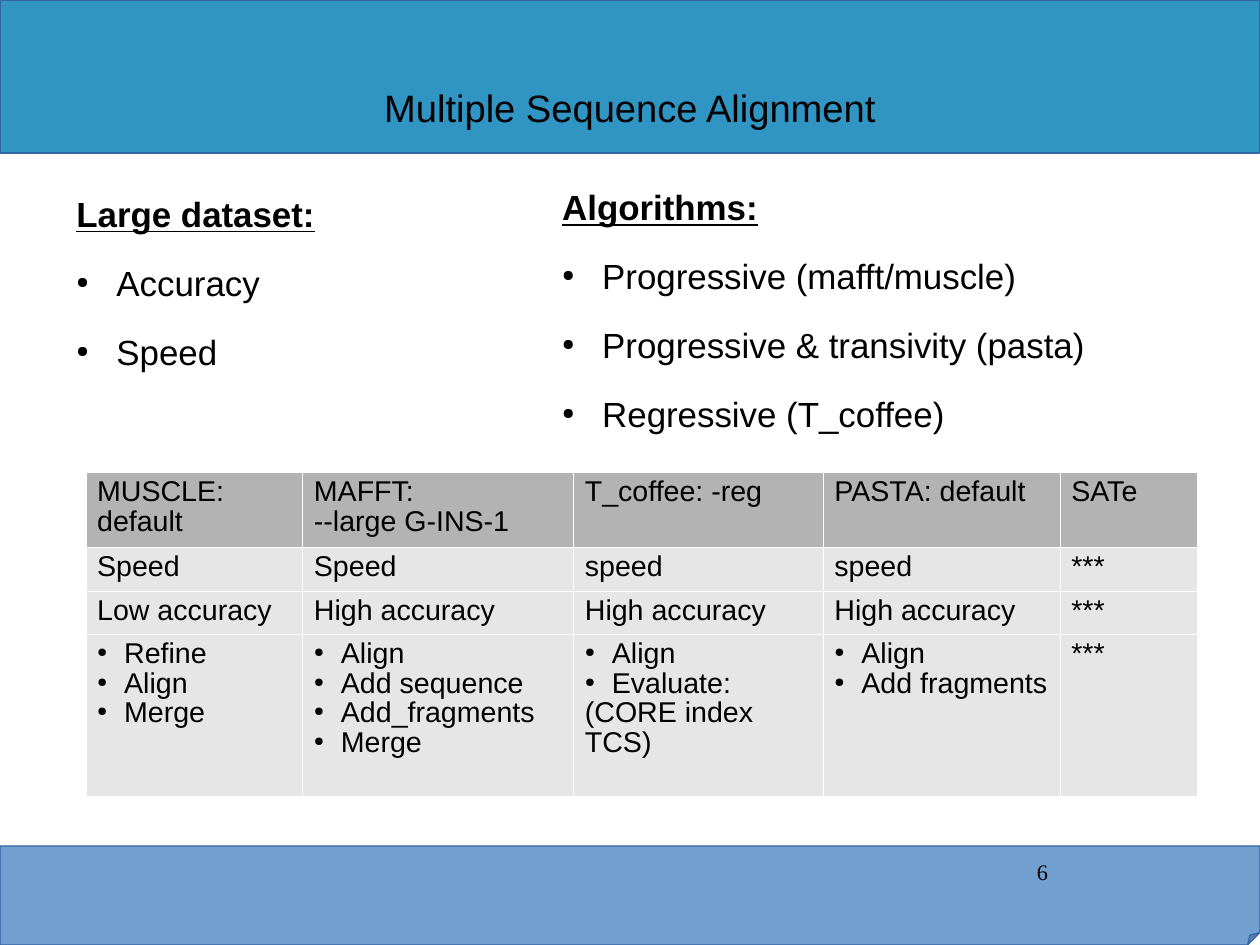
from lxml.etree import SubElement
from pptx import Presentation
from pptx.dml.color import RGBColor
from pptx.enum.shapes import MSO_SHAPE as Preset
from pptx.enum.text import MSO_ANCHOR as Anchor, PP_ALIGN as Align
from pptx.oxml.ns import qn
from pptx.util import Pt

TITLE = "Multiple Sequence Alignment"
PAGE = "6"
TOPICS = [
    ((39.6, 122.4, 254.9, 164.9), "Large dataset:", ["Accuracy", "Speed"]),
    ((345.6, 118.1, 348.5, 145.4), "Algorithms:", [
        "Progressive (mafft/muscle)",
        "Progressive & transivity (pasta)",
        "Regressive (T_coffee)",
    ]),
]
BULLET = "● "
COMPARISON = [
    ["MUSCLE: default", "MAFFT:\n--large G-INS-1", "T_coffee: -reg", "PASTA: default", "SATe"],
    ["Speed", "Speed", "speed", "speed", "***"],
    ["Low accuracy", "High accuracy", "High accuracy", "High accuracy", "***"],
    [
        "● Refine\n● Align\n● Merge",
        "● Align\n● Add sequence\n● Add_fragments\n● Merge",
        "● Align\n● Evaluate:\n(CORE index\nTCS)",
        "● Align\n● Add fragments",
        "***",
    ],
]
COLUMN_WIDTHS = [136.6, 170.7, 157.2, 149.2, 86.2]
ROW_HEIGHTS = [46.2, 27.2, 27.2, 102.2]
TABLE_LEFT, TABLE_TOP = 54, 297.3

WIDTH, HEIGHT = 793.7, 595.3
HEADER_HEIGHT, FOOTER_HEIGHT = 96.4, 62.4
BLACK = RGBColor(0x00, 0x00, 0x00)
HEADER_BLUE = RGBColor(0x30, 0x95, 0xC3)
FOOTER_BLUE = RGBColor(0x72, 0x9F, 0xCF)
OUTLINE_BLUE = RGBColor(0x34, 0x65, 0xA4)
HEAD_GREY = RGBColor(0xB3, 0xB3, 0xB3)
BODY_GREY = RGBColor(0xE6, 0xE6, 0xE6)


def add_band(slide, preset, top, height, color):
    band = slide.shapes.add_shape(preset, 0, Pt(top), Pt(WIDTH), Pt(height))
    band.shadow.inherit = False
    band.fill.solid()
    band.fill.fore_color.rgb = color
    band.line.color.rgb = OUTLINE_BLUE
    band.line.width = Pt(0.75)
    return band


def add_box(slide, place, inset_top):
    frame = slide.shapes.add_textbox(*map(Pt, place)).text_frame
    frame.word_wrap = True
    frame.margin_left = frame.margin_right = frame.margin_bottom = 0
    frame.margin_top = Pt(inset_top)
    return frame


def add_bullet(paragraph, margin, indent):
    props = paragraph._p.get_or_add_pPr()
    props.set("marL", str(Pt(margin)))
    props.set("indent", str(Pt(indent)))
    color = SubElement(props, qn("a:buClr"))
    SubElement(color, qn("a:srgbClr"), val=str(BLACK))
    SubElement(props, qn("a:buSzPct"), val="45000")
    SubElement(props, qn("a:buChar"), char=BULLET.strip())


def style(paragraph, size, font="Arial", align=Align.LEFT):
    paragraph.alignment = align
    paragraph.line_spacing = 0.93
    for run in paragraph.runs:
        run.font.name = font
        run.font.size = Pt(size)
        run.font.color.rgb = BLACK


def add_topic(slide, place, heading, points):
    frame = add_box(slide, place, 1.4)
    frame.text = "\n".join([heading, *points])
    first, *rest = frame.paragraphs
    first._p.get_or_add_pPr().set("marL", str(Pt(8.6)))
    style(first, 22)
    first.runs[0].font.bold = True
    first.runs[0].font.underline = True
    for point in rest:
        add_bullet(point, 33.8, -25.2)
        point.space_before = Pt(18.9)
        style(point, 22)


def add_borders(cell):
    props = cell._tc.get_or_add_tcPr()
    for side in ("lnL", "lnR", "lnT", "lnB"):
        border = SubElement(props, qn("a:" + side), w=str(Pt(0.06)))
        fill = SubElement(border, qn("a:solidFill"))
        SubElement(fill, qn("a:srgbClr"), val="FFFFFF")


def fill_cell(cell, text, color):
    add_borders(cell)
    cell.fill.solid()
    cell.fill.fore_color.rgb = color
    cell.text_frame.text = text.replace(BULLET, "")
    for line, paragraph in zip(text.split("\n"), cell.text_frame.paragraphs):
        if line.startswith(BULLET):
            add_bullet(paragraph, 17, -17)
        style(paragraph, 18)


def add_comparison(slide):
    table = slide.shapes.add_table(
        len(ROW_HEIGHTS), len(COLUMN_WIDTHS), Pt(TABLE_LEFT), Pt(TABLE_TOP),
        Pt(sum(COLUMN_WIDTHS)), Pt(sum(ROW_HEIGHTS))).table
    table.first_row = table.horz_banding = False
    for column, width in zip(table.columns, COLUMN_WIDTHS):
        column.width = Pt(width)
    for r, (row, height, texts) in enumerate(zip(table.rows, ROW_HEIGHTS, COMPARISON)):
        row.height = Pt(height)
        for cell, text in zip(row.cells, texts):
            fill_cell(cell, text, BODY_GREY if r else HEAD_GREY)


def main():
    deck = Presentation()
    deck.slide_width, deck.slide_height = Pt(WIDTH), Pt(HEIGHT)
    slide = deck.slides.add_slide(deck.slide_layouts[6])

    footer = add_band(slide, Preset.FOLDED_CORNER, HEIGHT - FOOTER_HEIGHT, FOOTER_HEIGHT, FOOTER_BLUE)
    fold = next(footer._element.iter(qn("a:avLst")))
    SubElement(fold, qn("a:gd"), name="adj", fmla="val 12500")
    add_band(slide, Preset.RECTANGLE, 0, HEADER_HEIGHT, HEADER_BLUE)

    title = add_box(slide, (39.6, 23.8, 714.3, 89.3), 1.4)
    title.vertical_anchor = Anchor.MIDDLE
    title.text = TITLE
    style(title.paragraphs[0], 24, align=Align.CENTER)

    for topic in TOPICS:
        add_topic(slide, *topic)
    add_comparison(slide)

    page = add_box(slide, (569.5, 542.2, 90.7, 41), 0)
    page.text = PAGE
    style(page.paragraphs[0], 14, "Times New Roman", Align.RIGHT)

    deck.save("out.pptx")


if __name__ == "__main__":
    main()
